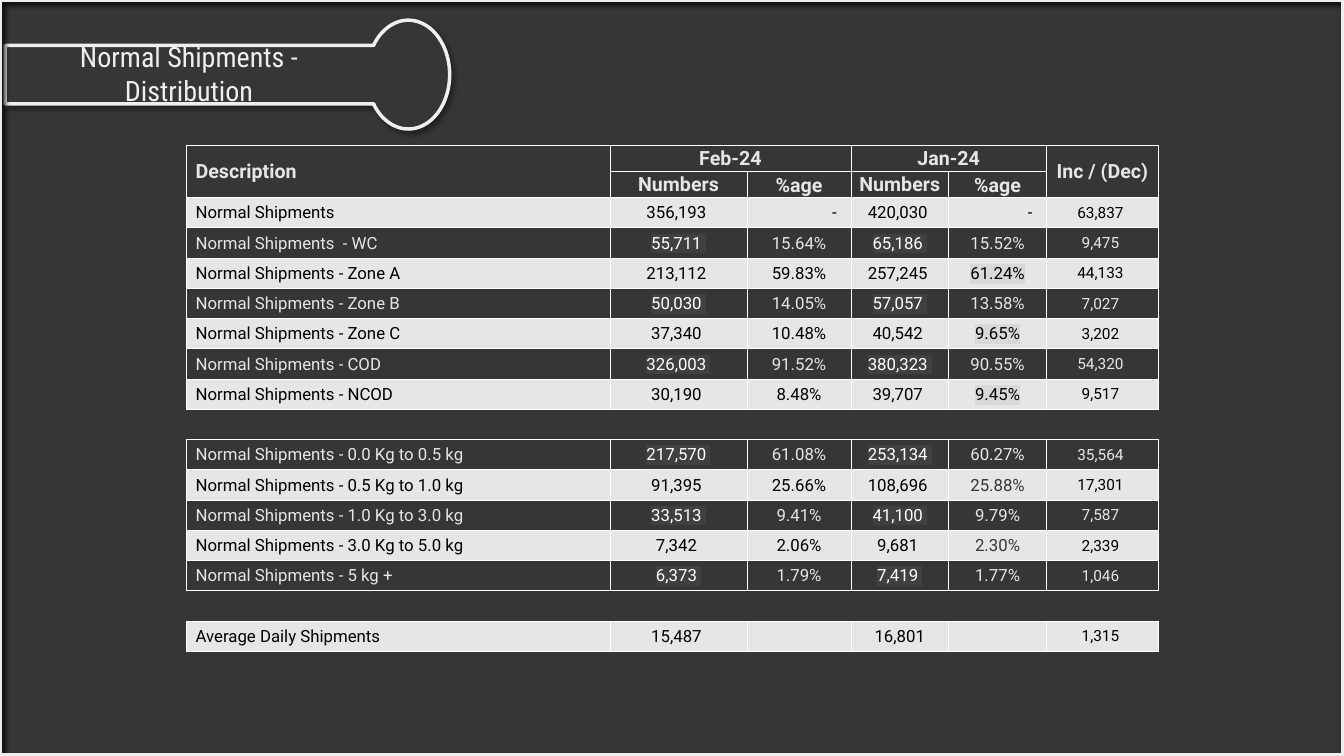
from math import cos, radians, sin

from lxml import etree
from pptx import Presentation
from pptx.dml.color import RGBColor
from pptx.enum.shapes import MSO_SHAPE
from pptx.enum.text import MSO_ANCHOR, PP_ALIGN
from pptx.oxml.ns import qn
from pptx.util import Inches, Pt

RECTANGLE = MSO_SHAPE.RECTANGLE
MIDDLE, BOTTOM = MSO_ANCHOR.MIDDLE, MSO_ANCHOR.BOTTOM
LEFT, CENTER, RIGHT = PP_ALIGN.LEFT, PP_ALIGN.CENTER, PP_ALIGN.RIGHT

DARK, LIGHT, PALE = "363636", "E6E6E6", "EFEFEF"
BLACK, WHITE = "000000", "FFFFFF"
NUMBER_SHADE, PERCENT_SHADE = "404040", "D9D9D9"
PLAIN_STYLE = "{2D5ABB26-0587-4C30-8999-92F81FD0307C}"

COLUMN_WIDTHS = [4.2, 1.36, 1.03, 0.97, 0.97, 1.11]
HEADER_HEIGHT, ROW_HEIGHT = 0.26, 0.3
HEADERS = [
    ["Description", "Feb-24", None, "Jan-24", None, "Inc / (Dec)"],
    [None, "Numbers", "%age", "Numbers", "%age", None],
]
HEADER_MERGES = [(0, 0, 1, 0), (0, 1, 0, 2), (0, 3, 0, 4), (0, 5, 1, 5)]
SHIPMENTS = [
    ["Normal Shipments", "356,193 ", "-", "420,030 ", "-", "63,837 "],
    ["Normal Shipments  - WC", "55,711 ", "15.64%", "65,186 ", "15.52%", "9,475 "],
    ["Normal Shipments - Zone A", "213,112 ", "59.83%", "257,245 ", "61.24%", "44,133 "],
    ["Normal Shipments - Zone B", "50,030 ", "14.05%", "57,057 ", "13.58%", "7,027 "],
    ["Normal Shipments - Zone C", "37,340 ", "10.48%", "40,542 ", "9.65%", "3,202 "],
    ["Normal Shipments - COD", "326,003 ", "91.52%", "380,323 ", "90.55%", "54,320 "],
    ["Normal Shipments - NCOD", "30,190 ", "8.48%", "39,707 ", "9.45%", "9,517 "],
    None,
    ["Normal Shipments - 0.0 Kg to 0.5 kg", "217,570 ", "61.08%", "253,134 ", "60.27%", "35,564 "],
    ["Normal Shipments - 0.5 Kg to 1.0 kg", "91,395 ", "25.66%", "108,696 ", "25.88%", "17,301 "],
    ["Normal Shipments - 1.0 Kg to 3.0 kg", "33,513 ", "9.41%", "41,100 ", "9.79%", "7,587 "],
    ["Normal Shipments - 3.0 Kg to 5.0 kg", "7,342 ", "2.06%", "9,681 ", "2.30%", "2,339 "],
    ["Normal Shipments - 5 kg +", "6,373 ", "1.79%", "7,419 ", "1.77%", "1,046 "],
    None,
    ["Average Daily Shipments", "15,487 ", "", "16,801", "", "1,315 "],
]
SHADED_PERCENTS = {"61.24%", "9.65%", "9.45%"}
GREY_PERCENTS = {"25.88%", "2.30%"}


def color(value):
    return RGBColor.from_string(value)


def add_xml_color(parent, value):
    fill = etree.SubElement(parent, qn("a:solidFill"))
    etree.SubElement(fill, qn("a:srgbClr"), val=value)


class SlideBuilder:
    font = "Roboto"
    title_font = "Roboto Condensed"

    def __init__(self, page):
        self.page = page
        self.page.background.fill.solid()
        self.page.background.fill.fore_color.rgb = color(DARK)

    def add_text(self, paragraph, text, align, tint, highlight=None, **formats):
        paragraph.alignment = align
        span = paragraph.add_run()
        span.text = text
        for name, value in {"name": self.font, **formats}.items():
            setattr(span.font, name, value)
        span.font.color.rgb = color(tint)
        if highlight:
            mark = etree.Element(qn("a:highlight"))
            etree.SubElement(mark, qn("a:srgbClr"), val=highlight)
            span.font._element.find(qn("a:latin")).addprevious(mark)

    def outline(self, shape, fill, width, opacity):
        if fill:
            shape.fill.solid()
            shape.fill.fore_color.rgb = color(fill)
        else:
            shape.fill.background()
        shape.line.color.rgb = color(PALE)
        shape.line.width = Pt(width)
        shape.shadow.inherit = False
        effects = shape._element.spPr.find(qn("a:effectLst"))
        shadow = etree.SubElement(
            effects, qn("a:outerShdw"), blurRad=str(Pt(4)), dist=str(Pt(3)),
            dir="2700000", algn="tl", rotWithShape="0")
        tint = etree.SubElement(shadow, qn("a:srgbClr"), val=BLACK)
        etree.SubElement(tint, qn("a:alpha"), val=str(opacity * 1000))

    def banner(self, left, top, bottom, center, radii):
        arc = [(center[0] + radii[0] * cos(radians(angle)),
                center[1] + radii[1] * sin(radians(angle)))
               for angle in range(-146, 147, 4)]
        points = [(Inches(x), Inches(y)) for x, y in
                  [(left, top), (arc[0][0], top), *arc, (arc[-1][0], bottom), (left, bottom)]]
        builder = self.page.shapes.build_freeform(*points[0])
        builder.add_line_segments(points[1:], close=True)
        self.outline(builder.convert_to_shape(), DARK, 2.5, 40)

    def frame(self, width, height):
        shape = self.page.shapes.add_shape(RECTANGLE, 0, 0, width, height)
        self.outline(shape, None, 3.5, 100)

    def title(self, text, left, top, width, height):
        box = self.page.shapes.add_textbox(*map(Inches, (left, top, width, height)))
        formats = {"word_wrap": True, "vertical_anchor": MIDDLE,
                   "margin_left": Inches(0.15), "margin_right": Inches(0.15)}
        for name, value in formats.items():
            setattr(box.text_frame, name, value)
        self.add_text(box.text_frame.paragraphs[0], text, CENTER, PALE,
                      name=self.title_font, size=Pt(20))

    def borders(self, cell, sides):
        properties = cell._tc.get_or_add_tcPr()
        for position, side in enumerate(sides):
            line = etree.Element(qn(f"a:ln{side}"), w=str(Pt(0.5)))
            add_xml_color(line, WHITE)
            properties.insert(position, line)

    def cell(self, cell, text, fill, sides="LRTB", align=CENTER, anchor=MIDDLE,
             right=0.01, **style):
        formats = {"vertical_anchor": anchor, "margin_top": Inches(0.01), "margin_bottom": 0,
                   "margin_left": Inches(0.09 if align == LEFT else 0.01),
                   "margin_right": Inches(right)}
        for name, value in formats.items():
            setattr(cell, name, value)
        if fill:
            cell.fill.solid()
            cell.fill.fore_color.rgb = color(fill)
        else:
            cell.fill.background()
        self.borders(cell, sides)
        paragraph = cell.text_frame.paragraphs[0]
        if text:
            self.add_text(paragraph, text, align, **style)
        else:
            etree.SubElement(paragraph._p, qn("a:endParaRPr"), sz="1200")

    def table(self, left, top):
        heights = [HEADER_HEIGHT] * len(HEADERS) + [ROW_HEIGHT] * len(SHIPMENTS)
        table = self.page.shapes.add_table(
            len(heights), len(COLUMN_WIDTHS), Inches(left), Inches(top),
            Inches(sum(COLUMN_WIDTHS)), Inches(sum(heights))).table
        table.first_row = table.horz_banding = False
        table._tbl.tblPr.find(qn("a:tableStyleId")).text = PLAIN_STYLE
        for column, width in zip(table.columns, COLUMN_WIDTHS):
            column.width = Inches(width)
        for row, height in zip(table.rows, heights):
            row.height = Inches(height)
        for top_row, first, bottom_row, last in HEADER_MERGES:
            table.cell(top_row, first).merge(table.cell(bottom_row, last))
        for row, labels in enumerate(HEADERS):
            for column, label in enumerate(labels):
                self.cell(table.cell(row, column), label, DARK,
                          align=CENTER if column else LEFT,
                          anchor=BOTTOM if label == "%age" else MIDDLE,
                          tint=LIGHT, size=Pt(14), bold=True)
        striped = 0
        for row, values in enumerate(SHIPMENTS, len(HEADERS)):
            for column in range(len(COLUMN_WIDTHS)):
                cell = table.cell(row, column)
                if values:
                    self.value(cell, column, values[column], striped % 2 == 0)
                else:
                    self.cell(cell, "", None, sides="TB")
            striped += bool(values)

    def value(self, cell, column, text, light):
        style = {"tint": BLACK if light else LIGHT, "bold": False,
                 "size": Pt(11 if column == 5 else 12),
                 "align": CENTER if column else LEFT}
        if column in (1, 3) and not light:
            style.update(tint=WHITE, highlight=NUMBER_SHADE)
        if text in SHADED_PERCENTS:
            style.update(highlight=PERCENT_SHADE)
        if text in GREY_PERCENTS:
            style.update(tint=DARK)
        if text == "-":
            style.update(align=RIGHT, right=0.14)
        self.cell(cell, text, LIGHT if light else DARK, **style)


def main():
    deck = Presentation()
    deck.slide_width, deck.slide_height = Inches(13.33), Inches(7.5)
    slide = SlideBuilder(deck.slides.add_slide(deck.slide_layouts[6]))
    slide.banner(0.05, 0.45, 1.03, center=(4.05, 0.74), radii=(0.41, 0.54))
    slide.frame(deck.slide_width, deck.slide_height)
    slide.title("Normal Shipments - Distribution", 0.05, 0.52, 3.65, 0.41)
    slide.table(1.85, 1.44)
    deck.save("out.pptx")


if __name__ == "__main__":
    main()
